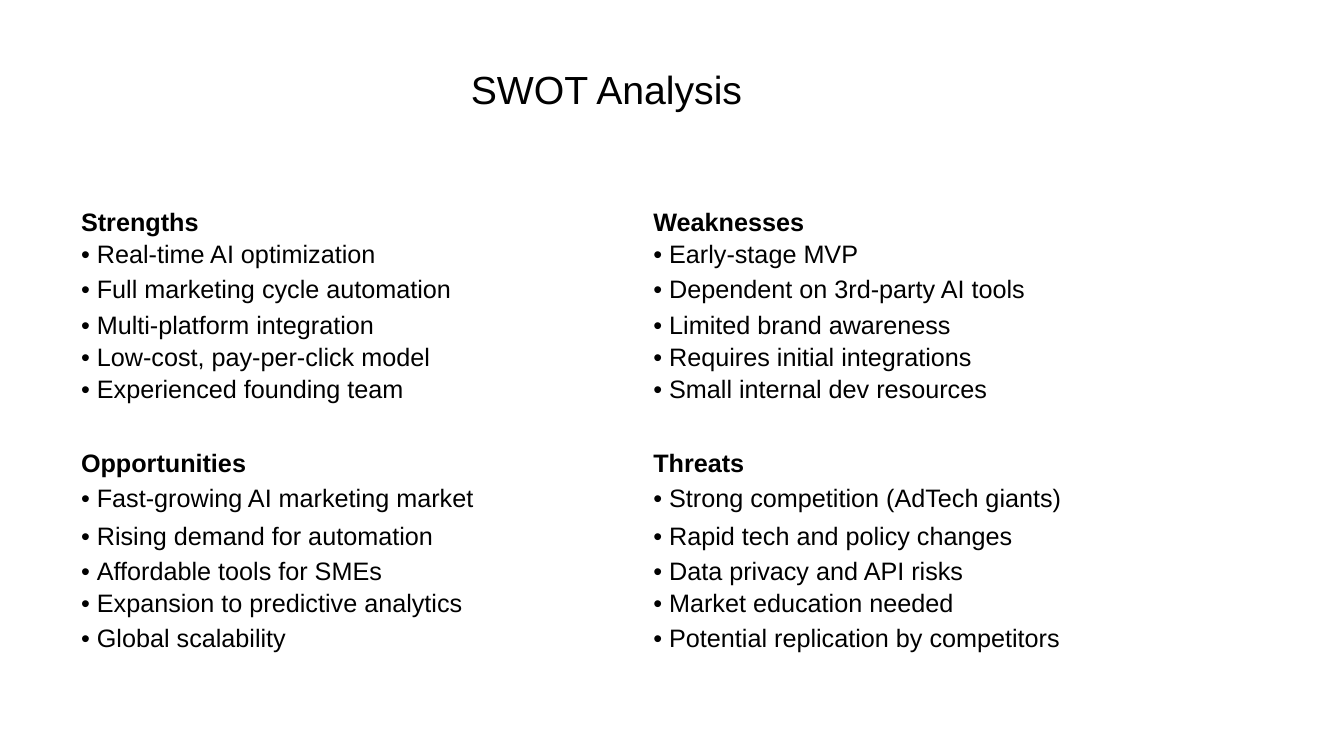
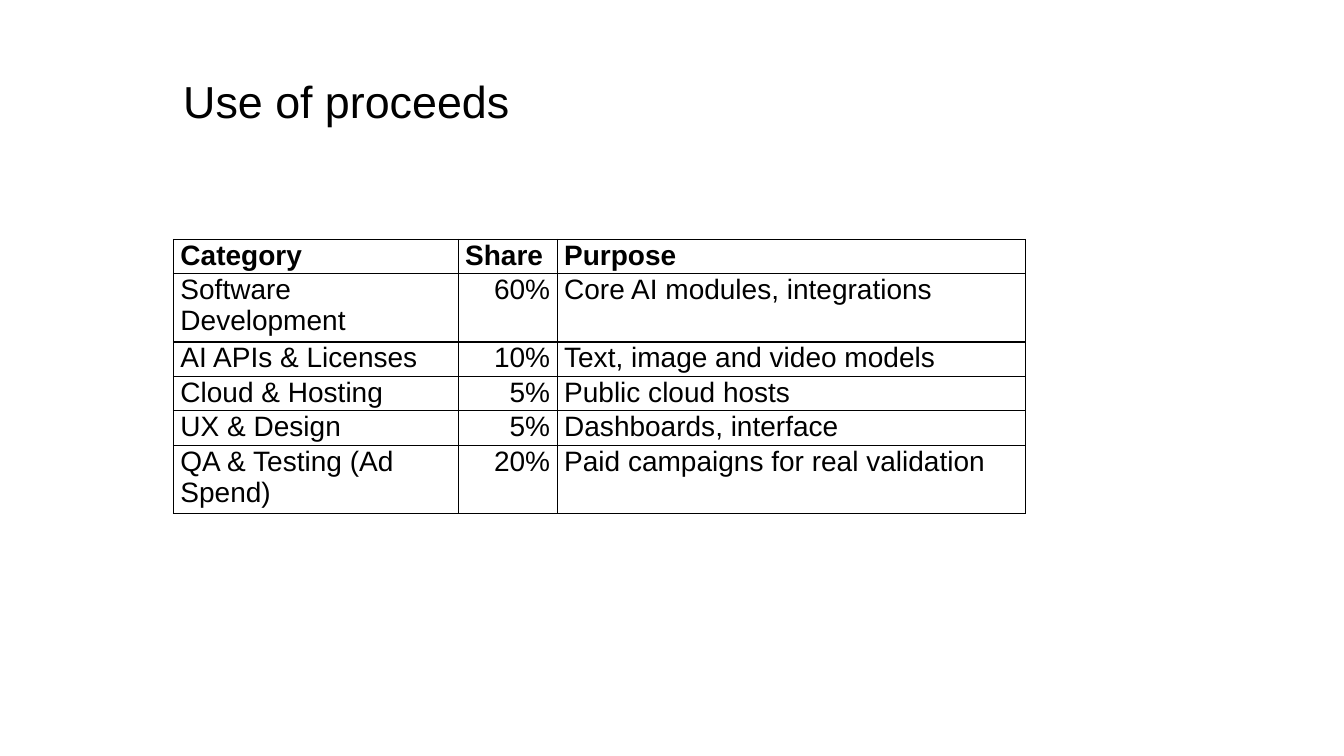
"""Build a SWOT slide and a use-of-proceeds slide."""
from dataclasses import dataclass
from typing import Any

import pptx
import pptx.dml.color
import pptx.enum.text
import pptx.oxml
import pptx.oxml.ns
import pptx.slide
import pptx.table
import pptx.util
from lxml import etree

Pt = pptx.util.Pt
ALIGN = pptx.enum.text.PP_ALIGN
ANCHOR = pptx.enum.text.MSO_ANCHOR
BLACK = pptx.dml.color.RGBColor(0, 0, 0)
WHITE = pptx.dml.color.RGBColor(255, 255, 255)
FONT = "Arial"
BULLET_INDENT = 11.3
BORDER_SIDES = ("lnL", "lnR", "lnT", "lnB")


@dataclass(frozen=True)
class Title:
    text: str
    left: float
    top: float
    height: float
    size: float
    align: Any = ALIGN.LEFT
    width: float = 479.5


@dataclass(frozen=True)
class CellText:
    text: str
    bold: bool = False
    bullet: bool = False
    align: Any = ALIGN.LEFT
    anchor: Any = ANCHOR.TOP


@dataclass(frozen=True)
class Grid:
    left: float
    top: float
    columns: tuple[float, ...]
    heights: tuple[float, ...]
    rows: list[list[CellText]]
    size: float
    spacing: float
    side_margin: float
    end_margin: float
    border: float = 0


@dataclass(frozen=True)
class Quadrant:
    heading: str
    points: tuple[str, ...]


SWOT_COLUMNS = (
    (
        Quadrant("Strengths", (
            "Real-time AI optimization", "Full marketing cycle automation",
            "Multi-platform integration", "Low-cost, pay-per-click model",
            "Experienced founding team")),
        Quadrant("Opportunities", (
            "Fast-growing AI marketing market", "Rising demand for automation",
            "Affordable tools for SMEs", "Expansion to predictive analytics",
            "Global scalability")),
    ),
    (
        Quadrant("Weaknesses", (
            "Early-stage MVP", "Dependent on 3rd-party AI tools",
            "Limited brand awareness", "Requires initial integrations",
            "Small internal dev resources")),
        Quadrant("Threats", (
            "Strong competition (AdTech giants)", "Rapid tech and policy changes",
            "Data privacy and API risks", "Market education needed",
            "Potential replication by competitors")),
    ),
)
SHORT, TALL, SECTION = 23, 27.2, 52.6
SWOT_HEIGHTS = (SHORT, SHORT, TALL, SHORT, SHORT, SHORT,
                SECTION, TALL, TALL, SHORT, SHORT, TALL)

PROCEEDS = (
    ("Category", "Share", "Purpose"),
    ("Software Development", "60%", "Core AI modules, integrations"),
    ("AI APIs & Licenses", "10%", "Text, image and video models"),
    ("Cloud & Hosting", "5%", "Public cloud hosts"),
    ("UX & Design", "5%", "Dashboards, interface"),
    ("QA & Testing (Ad Spend)", "20%", "Paid campaigns for real validation"),
)
ONE_LINE = 23.65
TWO_LINES = 2 * ONE_LINE
PROCEEDS_HEIGHTS = (ONE_LINE, TWO_LINES, ONE_LINE, ONE_LINE, ONE_LINE, TWO_LINES)


def write(paragraph: Any, text: str, size: float, bold: bool = False) -> None:
    """Add one formatted run to a paragraph."""
    run = paragraph.add_run()
    run.text = text
    for name, value in {"name": FONT, "size": Pt(size), "bold": bold}.items():
        setattr(run.font, name, value)
    run.font.color.rgb = BLACK


def add_bullet(paragraph: Any) -> None:
    """Give a paragraph a hanging round bullet."""
    properties = paragraph._p.get_or_add_pPr()
    properties.set("marL", str(Pt(BULLET_INDENT)))
    properties.set("indent", str(-Pt(BULLET_INDENT)))
    for tag, key, value in (("buFont", "typeface", FONT), ("buChar", "char", "•")):
        etree.SubElement(properties, pptx.oxml.ns.qn(f"a:{tag}")).set(key, value)


def add_borders(cell: Any, width: float) -> None:
    """Draw a solid black line on each side of a cell."""
    qn = pptx.oxml.ns.qn
    properties = cell._tc.get_or_add_tcPr()
    for side in BORDER_SIDES:
        line = etree.SubElement(properties, qn(f"a:{side}"), w=str(Pt(width)))
        fill = etree.SubElement(line, qn("a:solidFill"))
        etree.SubElement(fill, qn("a:srgbClr"), val=str(BLACK))


def add_title(slide: pptx.slide.Slide, title: Title) -> None:
    """Place a slide title."""
    box = slide.shapes.add_textbox(
        Pt(title.left), Pt(title.top), Pt(title.width), Pt(title.height))
    box.text_frame.word_wrap = True
    paragraph = box.text_frame.paragraphs[0]
    paragraph.alignment = title.align
    write(paragraph, title.text, title.size)


def fill_cell(cell: Any, content: CellText, grid: Grid) -> None:
    """Format one cell and write its text."""
    if grid.border:
        add_borders(cell, grid.border)
    cell.fill.background()
    cell_format = {
        "margin_left": Pt(grid.side_margin), "margin_right": Pt(grid.side_margin),
        "margin_top": Pt(grid.end_margin), "margin_bottom": Pt(grid.end_margin),
        "vertical_anchor": content.anchor,
    }
    for name, value in cell_format.items():
        setattr(cell, name, value)
    paragraph = cell.text_frame.paragraphs[0]
    if content.bullet:
        add_bullet(paragraph)
    paragraph.alignment = content.align
    paragraph.line_spacing = grid.spacing
    write(paragraph, content.text, grid.size, content.bold)


def add_grid(slide: pptx.slide.Slide, grid: Grid) -> None:
    """Place a table with the given column widths and row heights."""
    table = slide.shapes.add_table(
        len(grid.rows), len(grid.columns), Pt(grid.left), Pt(grid.top),
        Pt(sum(grid.columns)), Pt(sum(grid.heights))).table
    table.first_row = table.horz_banding = False
    for column, width in zip(table.columns, grid.columns):
        column.width = Pt(width)
    for row, height, contents in zip(table.rows, grid.heights, grid.rows):
        row.height = Pt(height)
        for cell, content in zip(row.cells, contents):
            fill_cell(cell, content, grid)


def swot_column(quadrants: tuple[Quadrant, ...]) -> list[CellText]:
    """List the headings and points of one SWOT column."""
    cells = []
    for quadrant in quadrants:
        cells.append(CellText(quadrant.heading, bold=True, anchor=ANCHOR.BOTTOM))
        cells += [CellText(point, bullet=True, anchor=ANCHOR.MIDDLE)
                  for point in quadrant.points]
    return cells


def proceeds_row(index: int, texts: tuple[str, ...]) -> list[CellText]:
    """Make a bold header row, or a row with its share at the right."""
    return [CellText(text, bold=index == 0,
                     align=ALIGN.RIGHT if index and text.endswith("%") else ALIGN.LEFT)
            for text in texts]


def main() -> None:
    """Build and save the presentation."""
    swot = Grid(
        57.4, 147, (408.8, 366.5), SWOT_HEIGHTS,
        [list(pair) for pair in zip(*map(swot_column, SWOT_COLUMNS))],
        size=18, spacing=1.07, side_margin=0.5, end_margin=0.7)
    proceeds = Grid(
        123.9, 171, (203.4, 70.7, 334.5), PROCEEDS_HEIGHTS,
        [proceeds_row(index, texts) for index, texts in enumerate(PROCEEDS)],
        size=20, spacing=1, side_margin=5, end_margin=0.3, border=1)
    pages = (
        (Title("SWOT Analysis", 57.6, 43.2, 41, 28, ALIGN.RIGHT), swot),
        (Title("Use of proceeds", 123.8, 48.8, 46.8, 32), proceeds),
    )
    deck = pptx.Presentation()
    deck.slide_width, deck.slide_height = Pt(960), Pt(540)
    for title, grid in pages:
        slide = deck.slides.add_slide(deck.slide_layouts[6])
        slide.background.fill.solid()
        slide.background.fill.fore_color.rgb = WHITE
        add_grid(slide, grid)
        add_title(slide, title)
    deck.save("out.pptx")


if __name__ == "__main__":
    main()
